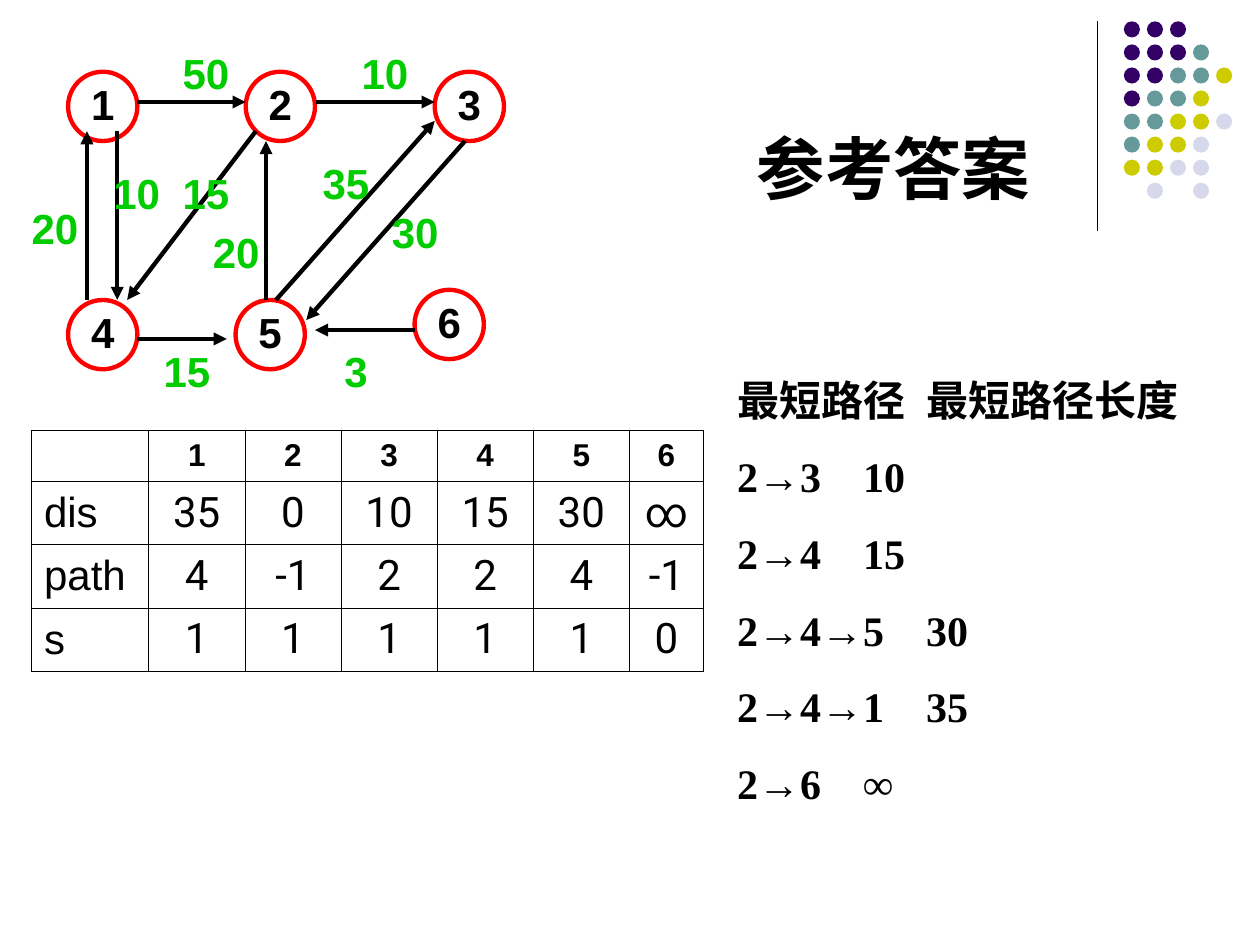
import pptx
import pptx.util
import pptx.dml.color
import pptx.enum.shapes
import pptx.enum.text
import pptx.oxml
import pptx.oxml.ns
from dataclasses import dataclass

Pt = pptx.util.Pt
ALIGN = pptx.enum.text.PP_ALIGN
ANCHOR = pptx.enum.text.MSO_ANCHOR
OVAL = pptx.enum.shapes.MSO_SHAPE.OVAL
STRAIGHT = pptx.enum.shapes.MSO_CONNECTOR.STRAIGHT


@dataclass(frozen=True)
class Theme:
    ink: str = "000000"
    ring: str = "FF0000"
    weight: str = "00CC00"
    sans: str = "Arial"
    digits: str = "Roboto"
    serif: str = "Times New Roman"
    title_size: float = 39
    text_size: float = 24
    header_size: float = 18
    rule: float = 0.75
    stroke: float = 2.5
    border: float = 0.45


THEME = Theme()

TITLE = "参考答案"

# Node label, left, top
NODES = [
    ("1", 38.9, 41), ("2", 140.4, 41), ("3", 248.4, 41),
    ("4", 38.9, 171.4), ("5", 134.6, 171.4), ("6", 236.9, 165.6),
]
NODE_SIZE = 39.6

# Weight, arrow start, arrow end, left and top of the weight
EDGES = [
    ("10", (67, 75), (67, 171.4), (55.4, 92.2)),
    ("20", (49.7, 171.4), (49.7, 75), (8.7, 112.3)),
    ("50", (78.5, 58.3), (140.4, 58.3), (95, 23.8)),
    ("10", (180.7, 58.3), (248.4, 58.3), (197.3, 23.8)),
    ("15", (146.2, 75), (72.7, 171.4), (95, 92.2)),
    ("20", (152, 171.4), (152, 80.6), (112.3, 126)),
    ("15", (78.5, 193.7), (129.6, 193.7), (84.2, 193.7)),
    ("3", (236.9, 188.6), (180, 188.6), (180.7, 193.7)),
    ("35", (157.7, 171.4), (248.4, 69.1), (175, 86.4)),
    ("30", (265.7, 80.6), (175, 182.9), (214.6, 114.5)),
]
WEIGHT_SIZE = (45.4, 36)

STATE = [
    ["", "1", "2", "3", "4", "5", "6"],
    ["dis", "35", "0", "10", "15", "30", "∞"],
    ["path", "4", "-1", "2", "2", "4", "-1"],
    ["s", "1", "1", "1", "1", "1", "0"],
]
STATE_COLUMNS = [67] + [54.95] * 5 + [42.3]
STATE_ROWS = [29] + [36.2] * 3

PATHS = [
    ("最短路径", "最短路径长度"),
    ("2→3", "10"),
    ("2→4", "15"),
    ("2→4→5", "30"),
    ("2→4→1", "35"),
    ("2→6", "∞"),
]
HEADING_TAB, LENGTH_TAB = (112, "l"), (171, "r")

DOT_COLOURS = {"P": "330066", "T": "669999", "Y": "CCCC00", "L": "D8D8EC"}
DOTS = ["PPP", "PPPT", "PPTTY", "PTTY", "TTYYL", "TYYL", "YYLL", ".L.L"]
DOT_LEFT, DOT_TOP, DOT_PITCH, DOT_SIZE = 642.2, 12.2, 13.17, 9.2


def rgb(colour):
    return pptx.dml.color.RGBColor.from_string(colour)


def add_xml(parent, xml):
    """Append a drawing element, given without its namespace declaration."""
    tag, rest = xml[:xml.index(" ")], xml[xml.index(" "):]
    parent.append(pptx.oxml.parse_xml(
        f"{tag} {pptx.oxml.ns.nsdecls('a')}{rest}"))


def place(shape, left, top, width, height):
    shape.left, shape.top = Pt(left), Pt(top)
    shape.width, shape.height = Pt(width), Pt(height)


def style(paragraph, size, face=THEME.sans, bold=True, colour=THEME.ink,
          align=ALIGN.CENTER):
    paragraph.alignment = align
    font = paragraph.font
    font.size, font.name, font.bold = Pt(size), face, bold
    font.color.rgb = rgb(colour)


def add_line(slide, start, end, width, arrow=False):
    line = slide.shapes.add_connector(STRAIGHT, *map(Pt, start + end))
    line.line.color.rgb = rgb(THEME.ink)
    line.line.width = Pt(width)
    if arrow:
        add_xml(line.line._get_or_add_ln(), '<a:tailEnd type="triangle"/>')
    add_xml(line._element.spPr, "<a:effectLst />")


def add_oval(slide, left, top, size):
    oval = slide.shapes.add_shape(OVAL, Pt(left), Pt(top), Pt(size), Pt(size))
    oval.shadow.inherit = False
    return oval


def add_decoration(slide):
    add_line(slide, (627.1, 12.2), (627.1, 131.8), THEME.rule)
    for row, dots in enumerate(DOTS):
        for column, key in enumerate(dots):
            if key in DOT_COLOURS:
                dot = add_oval(slide, DOT_LEFT + column * DOT_PITCH,
                               DOT_TOP + row * DOT_PITCH, DOT_SIZE)
                dot.fill.solid()
                dot.fill.fore_color.rgb = rgb(DOT_COLOURS[key])
                dot.line.fill.background()


def add_graph(slide):
    for label, left, top in NODES:
        node = add_oval(slide, left, top, NODE_SIZE)
        node.fill.background()
        node.line.color.rgb = rgb(THEME.ring)
        node.line.width = Pt(THEME.stroke)
        frame = node.text_frame
        frame.word_wrap = False
        frame.margin_left = frame.margin_right = frame.margin_top = 0
        frame.margin_bottom = Pt(3.6)
        frame.vertical_anchor = ANCHOR.MIDDLE
        frame.text = label
        style(frame.paragraphs[0], THEME.text_size)
    for _, start, end, _ in EDGES:
        add_line(slide, start, end, THEME.stroke, arrow=True)
    for weight, _, _, corner in EDGES:
        box = slide.shapes.add_textbox(*map(Pt, corner + WEIGHT_SIZE))
        box.text_frame.word_wrap = True
        box.text_frame.text = weight
        style(box.text_frame.paragraphs[0], THEME.text_size,
              colour=THEME.weight)


def add_state_table(slide):
    table = slide.shapes.add_table(
        len(STATE_ROWS), len(STATE_COLUMNS), Pt(18), Pt(246),
        Pt(sum(STATE_COLUMNS)), Pt(sum(STATE_ROWS))).table
    table.first_row = table.horz_banding = False
    for column, width in zip(table.columns, STATE_COLUMNS):
        column.width = Pt(width)
    for r, (values, height) in enumerate(zip(STATE, STATE_ROWS)):
        table.rows[r].height = Pt(height)
        for c, value in enumerate(values):
            cell = table.cell(r, c)
            cell.text = value
            cell.vertical_anchor = ANCHOR.MIDDLE
            header = r == 0
            style(cell.text_frame.paragraphs[0],
                  THEME.header_size if header else THEME.text_size,
                  THEME.sans if header or c == 0 else THEME.digits,
                  bold=header,
                  align=ALIGN.LEFT if c == 0 else ALIGN.CENTER)
            properties = cell._tc.get_or_add_tcPr()
            for side in ("lnL", "lnR", "lnT", "lnB"):
                add_xml(properties,
                        f'<a:{side} w="{Pt(THEME.border)}"><a:solidFill>'
                        f'<a:srgbClr val="{THEME.ink}"/></a:solidFill></a:{side}>')
            cell.fill.background()


def fill_title(title):
    place(title, 337.7, 9.4, 345.6, 113)
    title.text_frame.text = TITLE
    title.text_frame.vertical_anchor = ANCHOR.BOTTOM
    style(title.text_frame.paragraphs[0], THEME.title_size)


def fill_paths(body):
    place(body, 414, 210.2, 306, 254.9)
    frame = body.text_frame
    frame.auto_size = pptx.enum.text.MSO_AUTO_SIZE.NONE
    frame.text = "\n".join("\t".join(row) for row in PATHS)
    for index, paragraph in enumerate(frame.paragraphs):
        stop, side = LENGTH_TAB if index else HEADING_TAB
        properties = paragraph._p.get_or_add_pPr()
        properties.set("marL", "0")
        properties.set("indent", "0")
        add_xml(properties, "<a:buNone />")
        add_xml(properties, f'<a:tabLst ><a:tab pos="{Pt(stop)}" '
                            f'algn="{side}"/></a:tabLst>')
        paragraph.space_before = Pt(15 if index else 0)
        style(paragraph, THEME.text_size, THEME.serif, align=ALIGN.LEFT)


def main():
    deck = pptx.Presentation()
    deck.slide_width, deck.slide_height = Pt(720), Pt(540)
    slide = deck.slides.add_slide(deck.slide_layouts[1])
    fill_title(slide.shapes.title)
    fill_paths(slide.placeholders[1])
    add_decoration(slide)
    add_graph(slide)
    add_state_table(slide)
    deck.save("out.pptx")


if __name__ == "__main__":
    main()
